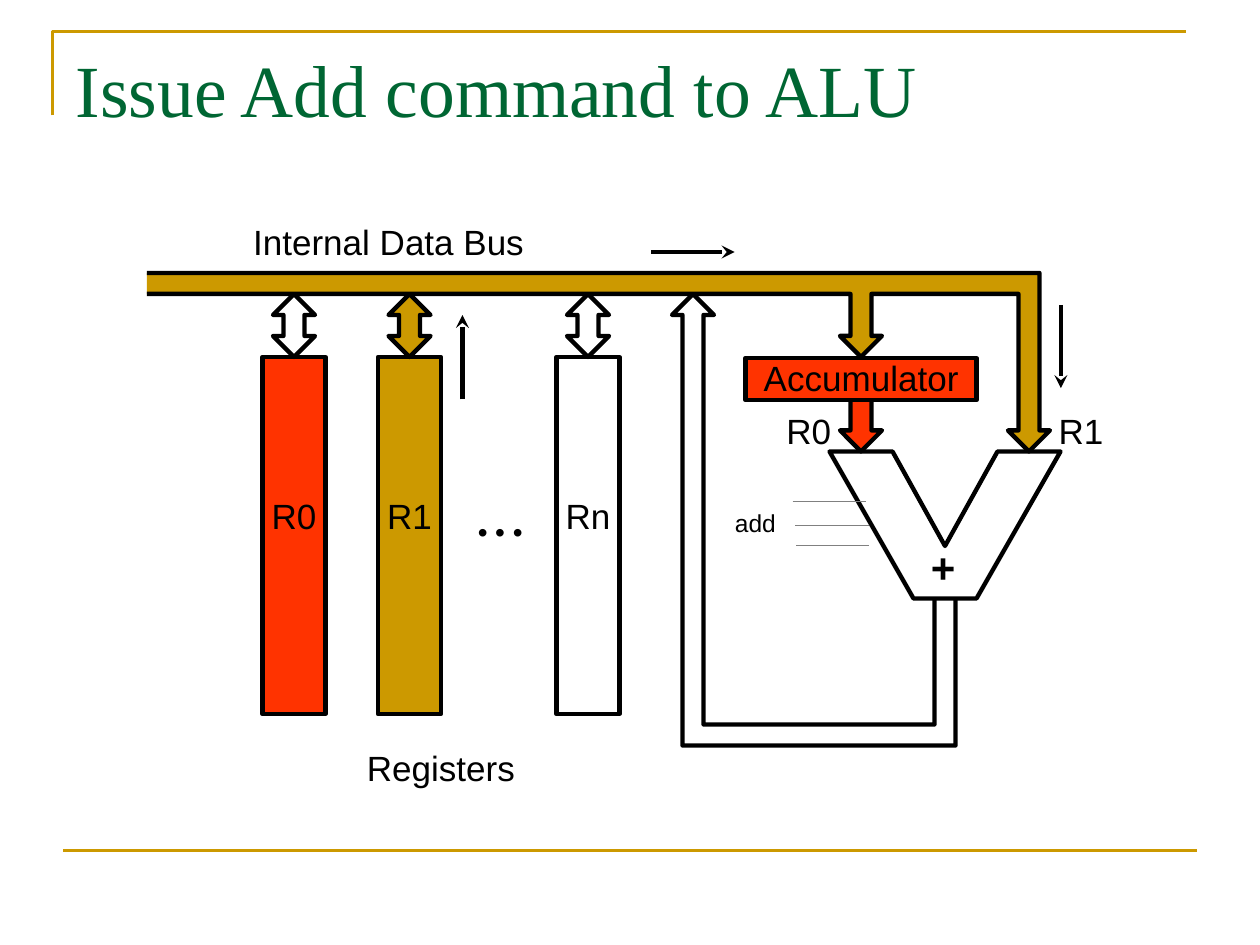
from dataclasses import dataclass
from typing import Optional

from lxml.etree import SubElement
from pptx import Presentation
from pptx.dml.color import RGBColor
from pptx.enum.shapes import MSO_CONNECTOR, MSO_SHAPE
from pptx.enum.text import MSO_ANCHOR as Anchor, MSO_AUTO_SIZE as AutoSize, PP_ALIGN as Align
from pptx.oxml.ns import qn
from pptx.util import Inches, Pt

COLORS = {"gold": "CC9900", "red": "FF3300", "green": "006633",
          "black": "000000", "gray": "808080"}
CELLS_PER_INCH = 12  # the diagram sits on a grid of twelfths of an inch
CELL = Inches(1) / CELLS_PER_INCH
OUTLINE = 2.5
Points = list[tuple[float, float]]


@dataclass(frozen=True)
class Register:
    name: str
    left: int  # grid cells
    fill: Optional[str] = None


@dataclass(frozen=True)
class Label:
    text: str
    left: float
    top: float
    width: float
    height: float = 0.25
    size: float = 20
    bold: bool = False
    line_spacing: float = 1.0


@dataclass(frozen=True)
class Segment:
    start: tuple[float, float]
    end: tuple[float, float]
    color: str = "black"
    weight: float = OUTLINE
    arrow: bool = False


REGISTERS = [Register("R0", 25, "red"), Register("R1", 36, "gold"), Register("Rn", 53)]
LABELS = [
    Label("Internal Data Bus", 1.42, 1.83, 3.33, line_spacing=0.75),
    Label("Registers", 2.25, 6, 2.5, line_spacing=0.75),
    Label("R0", 6.17, 3.33, 0.5, line_spacing=0.75),
    Label("R1", 8.33, 3.33, 0.5, line_spacing=0.75),
    Label("Accumulator", 6.05, 2.83, 1.57, 0.33),
    Label("• • •", 3.67, 4.08, 0.6, 0.27, size=16),
    Label("+", 7.17, 4.3, 0.63, 0.4, size=24, bold=True),
    Label("add", 5.7, 3.98, 0.59, 0.34, size=14),
]
FLOW_ARROWS = [
    Segment((5.17, 2), (5.83, 2), arrow=True),
    Segment((8.42, 2.42), (8.42, 3.08), arrow=True),
    Segment((3.67, 3.17), (3.67, 2.5), arrow=True),
]
CONTROL_LINES = [
    Segment((left, y), (right, y), "gray", 0.75)
    for left, right, y in [(6.29, 6.87, 3.98), (6.31, 6.9, 4.17), (6.32, 6.9, 4.33)]
]


def rgb(name: str) -> RGBColor:
    return RGBColor.from_string(COLORS[name])


def paint(shape, fill: Optional[str], line: Optional[str], weight: float = OUTLINE) -> None:
    shape.shadow.inherit = False
    if fill:
        shape.fill.solid()
        shape.fill.fore_color.rgb = rgb(fill)
    else:
        shape.fill.background()
    if line:
        shape.line.color.rgb = rgb(line)
        shape.line.width = Pt(weight)
    else:
        shape.line.fill.background()


def draw_outline(slide, points: Points, fill: Optional[str] = None, line: Optional[str] = "black",
                 weight: float = OUTLINE, closed: bool = False) -> None:
    """Draw a polygon or an open path through points given in grid cells."""
    builder = slide.shapes.build_freeform(*points[0], scale=CELL)
    builder.add_line_segments(points[1:], close=closed)
    paint(builder.convert_to_shape(), fill, line, weight)


def draw_box(slide, left: float, top: float, width: float, height: float,
             fill: Optional[str], line: Optional[str] = "black") -> None:
    """Draw a rectangle measured in grid cells."""
    edges = [Inches(cells / CELLS_PER_INCH) for cells in (left, top, width, height)]
    paint(slide.shapes.add_shape(MSO_SHAPE.RECTANGLE, *edges), fill, line)


def draw_segment(slide, segment: Segment) -> None:
    ends = [Inches(value) for value in segment.start + segment.end]
    connector = slide.shapes.add_connector(MSO_CONNECTOR.STRAIGHT, *ends)
    connector.line.color.rgb = rgb(segment.color)
    connector.line.width = Pt(segment.weight)
    if segment.arrow:
        SubElement(connector.line._get_or_add_ln(), qn("a:tailEnd"), type="stealth")
    SubElement(connector._element.spPr, qn("a:effectLst"))


def format_font(font, **values) -> None:
    color = values.pop("color")
    for attribute, value in values.items():
        setattr(font, attribute, value)
    font.color.rgb = rgb(color)


def draw_label(slide, label: Label) -> None:
    box = [Inches(v) for v in (label.left, label.top, label.width, label.height)]
    frame = slide.shapes.add_textbox(*box).text_frame
    settings = {"word_wrap": True, "auto_size": AutoSize.SHAPE_TO_FIT_TEXT,
                "vertical_anchor": Anchor.MIDDLE, "margin_left": 0, "margin_right": 0,
                "margin_top": 0, "margin_bottom": 0}
    for attribute, value in settings.items():
        setattr(frame, attribute, value)
    paragraph = frame.paragraphs[0]
    paragraph.text = label.text
    paragraph.alignment = Align.CENTER
    paragraph.line_spacing = label.line_spacing
    format_font(paragraph.font, name="Arial", size=Pt(label.size), bold=label.bold, color="black")


def down_arrow(center: int, top: int, tip: int) -> Points:
    neck = tip - 2
    return [(center - 1, top), (center - 1, neck), (center - 2, neck), (center, tip),
            (center + 2, neck), (center + 1, neck), (center + 1, top)]


def double_arrow(center: int, top: int, bottom: int) -> Points:
    upper, lower = top + 2, bottom - 2
    return [(center - 1, upper), (center - 2, upper), (center, top), (center + 2, upper),
            (center + 1, upper), (center + 1, lower), (center + 2, lower), (center, bottom),
            (center - 2, lower), (center - 1, lower)]


def draw_register(slide, register: Register) -> None:
    draw_box(slide, register.left, 34, 6, 34, register.fill)
    arrow_fill = "gold" if register.fill == "gold" else None
    draw_outline(slide, double_arrow(register.left + 3, 28, 34), arrow_fill, closed=True)
    draw_label(slide, Label(register.name, register.left / CELLS_PER_INCH, 4, 0.5,
                            line_spacing=0.75))


def draw_bus(slide) -> None:
    draw_box(slide, 38, 26, 61, 2, "gold", line=None)
    to_alu = down_arrow(98, 28, 43)[::-1]
    to_accumulator = down_arrow(82, 28, 34)[::-1]
    bus = [(14, 26), (99, 26), *to_alu[1:], *to_accumulator, (14, 28)]
    draw_outline(slide, bus, "gold")


def draw_alu(slide) -> None:
    draw_outline(slide, down_arrow(82, 38, 43), "red")
    draw_box(slide, 71, 34.1, 22, 4, "red")
    draw_outline(slide, [(87, 57), (79, 43), (85, 43), (90, 52), (95, 43), (101, 43), (93, 57)],
                 closed=True)
    result_path = [(91, 57), (91, 71), (65, 71), (65, 30), (64, 30), (66.1, 28), (68.1, 30),
                   (67.1, 30), (67.1, 69), (88.9, 69), (88.9, 57)]
    draw_outline(slide, result_path)


def place_title(slide, text: str) -> None:
    title = slide.shapes.title
    box = {"left": 0.5, "top": 0.3, "width": 9, "height": 1.25}
    for attribute, value in box.items():
        setattr(title, attribute, Inches(value))
    title.text_frame.text = text
    title.text_frame.vertical_anchor = Anchor.TOP
    paragraph = title.text_frame.paragraphs[0]
    paragraph.alignment = Align.LEFT
    format_font(paragraph.font, name="Times New Roman", size=Pt(42), color="green")


def main() -> None:
    deck = Presentation()
    deck.slide_width, deck.slide_height = Inches(10), Inches(7.5)
    slide = deck.slides.add_slide(deck.slide_layouts[5])
    draw_outline(slide, [(5, 11), (5, 3), (113, 3)], line="gold", weight=1.5)
    draw_segment(slide, Segment((0.5, 6.75), (9.5, 6.75), "gold", 1.5))
    place_title(slide, "Issue Add command to ALU")
    for register in REGISTERS:
        draw_register(slide, register)
    draw_alu(slide)
    draw_bus(slide)
    for segment in FLOW_ARROWS + CONTROL_LINES:
        draw_segment(slide, segment)
    for label in LABELS:
        draw_label(slide, label)
    deck.save("out.pptx")


if __name__ == "__main__":
    main()
